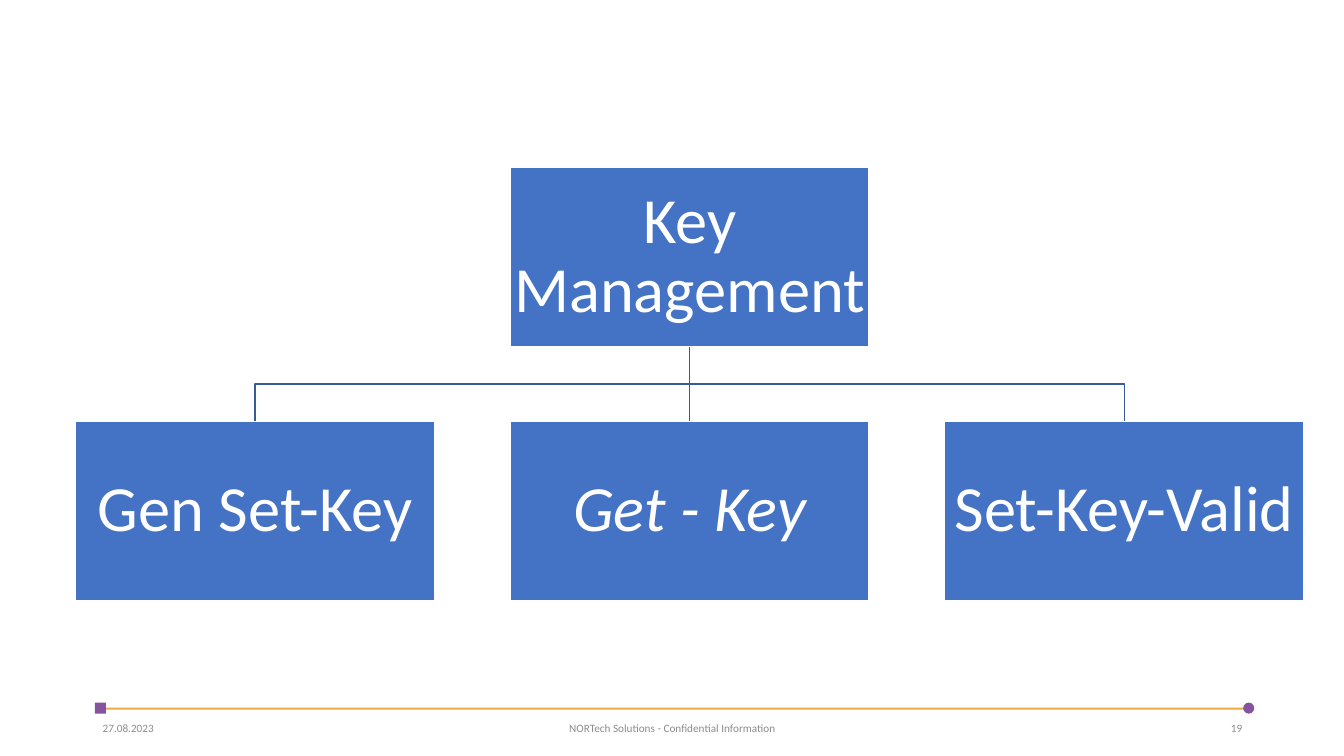
from dataclasses import dataclass

from lxml import etree
from pptx import Presentation
from pptx.dml.color import RGBColor as Color
from pptx.enum.shapes import MSO_CONNECTOR as Connector, MSO_SHAPE as Preset
from pptx.enum.text import MSO_ANCHOR as Anchor, PP_ALIGN as Align
from pptx.oxml.ns import qn
from pptx.util import Inches, Pt


@dataclass(frozen=True)
class Theme:
    font: str = "Calibri"
    node_size: int = 46
    footer_size: int = 8
    node_fill: str = "4472C4"
    branch: str = "365B9D"
    white: str = "FFFFFF"
    rule: str = "EBA94A"
    marker: str = "86549F"
    footer: str = "8C8C8C"


class SlideBuilder:
    def __init__(self, slide, theme):
        self.shapes = slide.shapes
        self.theme = theme

    def shape(self, preset, left, top, width, height, fill, outline=None):
        shape = self.shapes.add_shape(
            preset, Inches(left), Inches(top), Inches(width), Inches(height))
        shape.shadow.inherit = False
        shape.fill.solid()
        shape.fill.fore_color.rgb = Color.from_string(fill)
        if outline:
            self.stroke(shape.line, outline)
        else:
            shape.line.fill.background()
        return shape

    def stroke(self, line, color):
        line.color.rgb = Color.from_string(color)
        line.width = Pt(1)

    def set_text(self, box, text, size, color, align, italic=None):
        frame = box.text_frame
        frame.word_wrap = True
        frame.vertical_anchor = Anchor.MIDDLE
        para = frame.paragraphs[0]
        para.text = text
        para.alignment = align
        para.font.name = self.theme.font
        para.font.size = Pt(size)
        para.font.italic = italic
        para.font.color.rgb = Color.from_string(color)
        return frame

    def node(self, text, left, top, width, height, italic=None):
        theme = self.theme
        box = self.shape(Preset.RECTANGLE, left, top, width, height,
                         theme.node_fill, theme.white)
        frame = self.set_text(box, text, theme.node_size, theme.white, Align.CENTER, italic)
        frame.margin_left = frame.margin_right = Inches(0.03)
        frame.margin_top = frame.margin_bottom = Inches(0.03)
        frame.paragraphs[0].line_spacing = 0.9

    def straight_branch(self, x, top, bottom):
        line = self.shapes.add_connector(
            Connector.STRAIGHT, Inches(x), Inches(top), Inches(x), Inches(bottom))
        self.stroke(line.line, self.theme.branch)
        etree.SubElement(line._element.spPr, qn("a:effectLst"))

    def elbow_branch(self, start, end, top, bottom):
        middle = (top + bottom) / 2
        outline = self.shapes.build_freeform(Inches(start), Inches(top))
        corners = [(start, middle), (end, middle), (end, bottom)]
        outline.add_line_segments(
            [(Inches(x), Inches(y)) for x, y in corners], close=False)
        branch = outline.convert_to_shape()
        branch.shadow.inherit = False
        branch.fill.background()
        self.stroke(branch.line, self.theme.branch)

    def footer(self, text, left, width, align):
        box = self.shapes.add_textbox(
            Inches(left), Inches(7.1), Inches(width), Inches(0.25))
        self.set_text(box, text, self.theme.footer_size, self.theme.footer, align)


def main():
    deck = Presentation()
    deck.slide_width, deck.slide_height = Inches(13.33), Inches(7.5)
    theme = Theme()
    page = SlideBuilder(deck.slides.add_slide(deck.slide_layouts[6]), theme)

    # Footer rule with its end markers
    page.shape(Preset.RECTANGLE, 0.99, 7.02, 11.39, 0.02, theme.rule)
    page.shape(Preset.RECTANGLE, 0.94, 6.97, 0.11, 0.11, theme.marker)
    page.shape(Preset.OVAL, 12.33, 6.97, 0.11, 0.11, theme.marker)

    # Footer text
    page.footer("27.08.2023", 0.92, 3, Align.LEFT)
    page.footer("NORTech Solutions - Confidential Information", 4.42, 4.5, Align.CENTER)
    page.footer("19", 9.42, 3, Align.RIGHT)

    # Tree geometry
    width, height = 3.56, 1.78
    root_top, child_top = 1.66, 4.18
    root_bottom = root_top + height
    lefts = [0.75 + 4.31 * column for column in range(3)]
    centers = [left + width / 2 for left in lefts]

    # Branches
    page.elbow_branch(centers[1], centers[2], root_bottom, child_top)
    page.straight_branch(centers[1], root_bottom, child_top)
    page.elbow_branch(centers[1], centers[0], root_bottom, child_top)

    # Root and children
    page.node("Key Management", lefts[1], root_top, width, height)
    children = [("Gen Set-Key", None), ("Get - Key", True), ("Set-Key-Valid", None)]
    for left, (text, italic) in zip(lefts, children):
        page.node(text, left, child_top, width, height, italic)

    deck.save("out.pptx")


if __name__ == "__main__":
    main()
